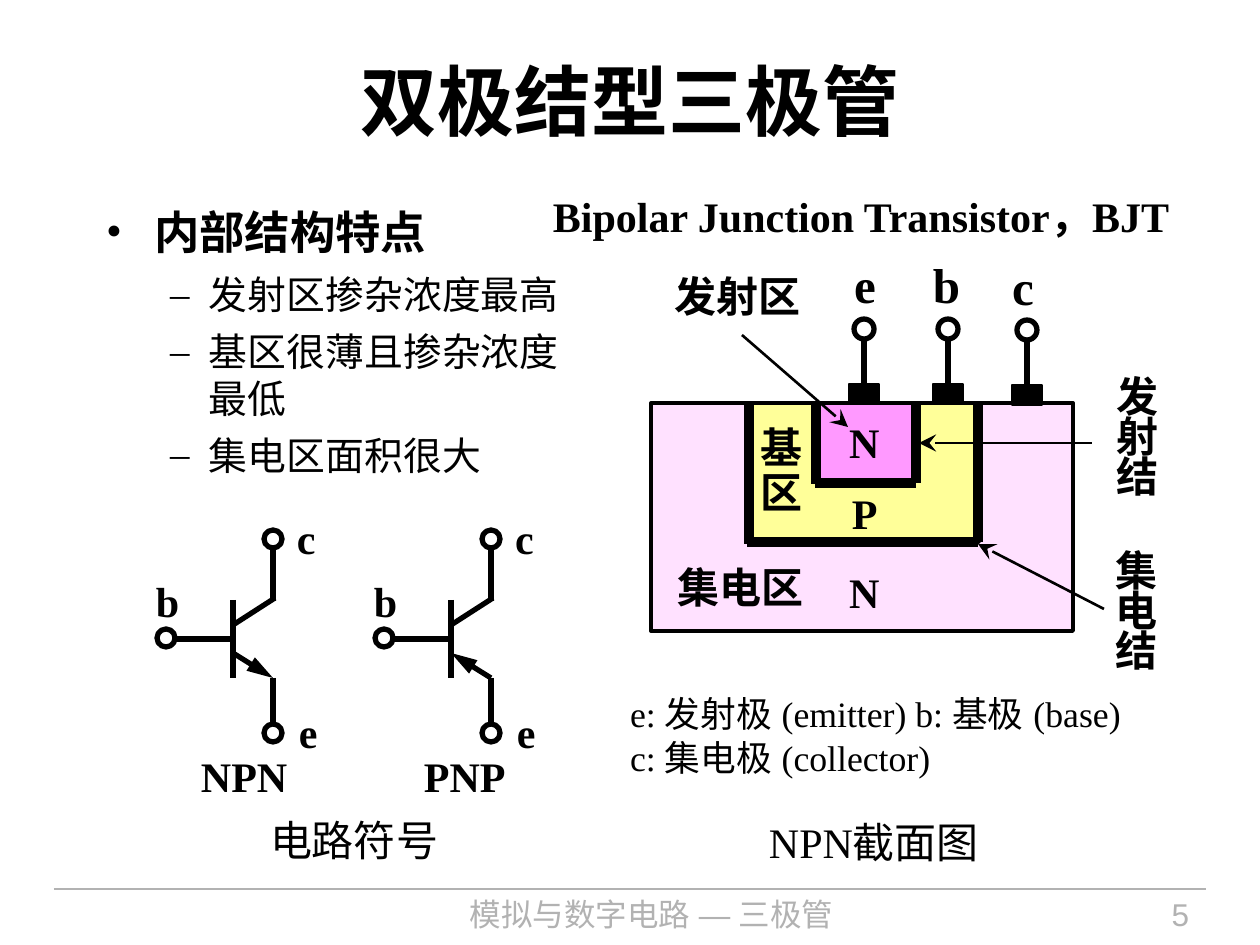
from lxml import etree
from pptx import Presentation
from pptx.dml.color import RGBColor
from pptx.enum.shapes import MSO_CONNECTOR, MSO_SHAPE
from pptx.enum.text import MSO_ANCHOR, MSO_AUTO_SIZE, PP_ALIGN
from pptx.oxml.ns import qn
from pptx.util import Pt

LINE = MSO_CONNECTOR.STRAIGHT
RECT, OVAL = MSO_SHAPE.RECTANGLE, MSO_SHAPE.OVAL
LEFT, MID, RIGHT = PP_ALIGN.LEFT, PP_ALIGN.CENTER, PP_ALIGN.RIGHT
GROW, FIXED = MSO_AUTO_SIZE.SHAPE_TO_FIT_TEXT, MSO_AUTO_SIZE.NONE
SANS, SERIF, HAN = "Arial", "Times New Roman", "Noto Sans CJK SC"
BLACK, GRAY = "000000", "B2B2B2"
SCALE = 914400 / 126

TITLE = "双极结型三极管"
POINTS = [
    (0, "内部结构特点"),
    (1, "发射区掺杂浓度最高"),
    (1, "基区很薄且掺杂浓度最低"),
    (1, "集电区面积很大"),
]
LEVELS = [
    {"mark": "•", "left": 48, "hang": 48, "after": 7, "size": 25.9, "bold": True},
    {"mark": "–", "left": 103, "hang": 39, "after": 6, "size": 22.2, "bold": False},
]
FOOT = [("模拟与数字电路 ", SANS), ("— ", SERIF), ("三极管", SANS)]

REGIONS = [
    ((651, 403, 422, 228), "FFCCFF", 58),
    ((750, 403, 229, 139), "FFFF99", 100),
    ((815, 403, 100, 79), "FF99FF", 100),
]
WALLS = [
    (749, 405, 749, 544), (978, 403, 978, 542), (747, 542, 978, 542),
    (816, 405, 816, 484), (916, 405, 916, 483), (815, 483, 916, 483),
]
ARROWS = [(742, 335, 848, 427), (1092, 443, 919, 443), (1104, 609, 978, 544)]
PINS = [("e", 864, 0, 854, 21), ("b", 948, 0, 933, 28), ("c", 1027, 1, 1012, 21)]

BARE = {"pad": False, "wrap": False}
LABELS = [
    ("集电区", (678, 562, 126, 50), {**BARE, "font": SANS, "align": MID}),
    ("基\n区", (760, 427, 42, 91), {**BARE, "font": SANS, "lead": 0.9}),
    ("N", (849, 567, 30, 50), BARE),
    ("N", (849, 417, 30, 50), BARE),
    ("P", (852, 488, 25, 50), BARE),
    ("发射区", (670, 271, 136, 50), {"font": SANS, "align": MID, "pad": False}),
    ("发\n射\n结", (1105, 374, 67, 134), {"font": SANS, "lead": 0.8, "wrap": False}),
    ("集\n电\n结", (1103, 548, 67, 134), {"font": SANS, "lead": 0.8, "wrap": False}),
    ("Bipolar Junction Transistor，BJT", (541, 185, 665, 63), {"wrap": False}),
    ("NPN截面图", (734, 811, 280, 63), {"bold": False, "align": MID, "fit": FIXED}),
    ("电路符号", (218, 809, 272, 63), {"font": HAN, "bold": False, "align": MID}),
    ("e: 发射极 (emitter) b: 基极 (base)\nc: 集电极 (collector)", (630, 697, 547, 122),
     {"size": 20.4, "bold": False, "lead": 0.9, "after": 2.8, "pad": False, "fit": FIXED}),
    ("5", (1033, 889, 168, 55),
     {"font": SANS, "size": 18, "bold": False, "color": GRAY, "align": RIGHT, "fit": FIXED}),
]

SYMBOLS = [("NPN", 0, "tailEnd", (189, 745, 111, 63)), ("PNP", 218, "headEnd", (412, 745, 107, 63))]
WIRES = [
    (233, 600, 233, 678), (233, 639, 173, 639), (233, 625, 275, 598),
    (273, 601, 273, 549), (273, 678, 273, 726),
]
EMITTER = (233, 653, 273, 678)
RINGS = [(157, 629), (264, 530), (264, 724)]
LEGS = [("c", 297, 513, 19), ("b", 156, 576, 24), ("e", 299, 707, 19)]


def px(*vals):
    return [round(v * SCALE) for v in vals]


def rgb(code):
    return RGBColor.from_string(code)


def style(run, font, size, bold=False, color=BLACK):
    for key, val in {"name": font, "size": Pt(size), "bold": bold}.items():
        setattr(run.font, key, val)
    run.font.color.rgb = rgb(color)
    east = SANS if font == SERIF else font
    etree.SubElement(run._r.get_or_add_rPr(), qn("a:ea"), typeface=east)


def frame(shapes, box, pad=True, wrap=True, fit=GROW):
    body = shapes.add_textbox(*px(*box)).text_frame
    side, edge = px(12, 6) if pad else (0, 0)
    form = {"margin_left": side, "margin_right": side, "margin_top": edge,
            "margin_bottom": edge, "word_wrap": wrap, "auto_size": fit}
    for key, val in form.items():
        setattr(body, key, val)
    return body


def label(shapes, text, box, font=SERIF, size=24, bold=True, color=BLACK,
          align=LEFT, lead=None, after=0, **form):
    body = frame(shapes, box, **form)
    for i, line in enumerate(text.split("\n")):
        para = body.add_paragraph() if i else body.paragraphs[0]
        para.alignment = align
        para.space_after = Pt(after)
        if lead:
            para.line_spacing = lead
        run = para.add_run()
        run.text = line
        style(run, font, size, bold, color)


def wire(shapes, ends, width=3, color=BLACK, tip=None, kind="triangle", broad="med"):
    link = shapes.add_connector(LINE, *px(*ends))
    link.line.width = Pt(width)
    link.line.color.rgb = rgb(color)
    if tip:
        etree.SubElement(link.line._get_or_add_ln(), qn("a:" + tip), type=kind, w=broad, len="lg")
    etree.SubElement(link._element.spPr, qn("a:effectLst"))
    return link


def solid(shapes, kind, box, fill=None, width=3.0, alpha=100):
    item = shapes.add_shape(kind, *px(*box))
    item.shadow.inherit = False
    item.line.width = Pt(width)
    item.line.color.rgb = rgb(BLACK)
    if fill:
        item.fill.solid()
        item.fill.fore_color.rgb = rgb(fill)
        if alpha < 100:
            tint = item._element.spPr.find(qn("a:solidFill"))[0]
            etree.SubElement(tint, qn("a:alpha"), val=str(alpha * 1000))
    else:
        item.fill.background()
    return item


def points(shapes):
    body = frame(shapes, (94, 198, 512, 302), fit=FIXED)
    for i, (level, text) in enumerate(POINTS):
        look = LEVELS[level]
        para = body.add_paragraph() if i else body.paragraphs[0]
        para.level = level
        para.space_after = Pt(look["after"])
        props = para._p.get_or_add_pPr()
        left, hang = px(look["left"], look["hang"])
        props.set("marL", str(left))
        props.set("indent", str(-hang))
        etree.SubElement(props, qn("a:buFont"), typeface=SERIF)
        etree.SubElement(props, qn("a:buChar"), char=look["mark"])
        run = para.add_run()
        run.text = text
        style(run, SANS, look["size"], look["bold"])


def symbol(shapes, name, dx, tip, box):
    group = shapes.add_group_shape().shapes
    for x1, y1, x2, y2 in WIRES:
        wire(group, (x1 + dx, y1, x2 + dx, y2))
    x1, y1, x2, y2 = EMITTER
    wire(group, (x1 + dx, y1, x2 + dx, y2), tip=tip)
    for x, y in RINGS:
        solid(group, OVAL, (x + dx, y, 18, 18))
    for text, x, y, w in LEGS:
        label(group, text, (x + dx, y, w, 50), **BARE)
    label(group, name, box, wrap=False)


def pin(shapes, name, x, dy, left, wide):
    group = shapes.add_group_shape().shapes
    label(group, name, (left, 255 + dy, wide, 59), size=28, **BARE)
    pad = solid(group, RECT, (x - 15, 384 + dy, 30, 20), BLACK, 0.75)
    lead = wire(group, (x, 404 + dy, x, 339 + dy))
    lead.begin_connect(pad, 2)
    solid(group, OVAL, (x - 10, 319 + dy, 20, 20))


def main():
    deck = Presentation()
    deck.slide_width, deck.slide_height = px(1260, 945)
    slide = deck.slides.add_slide(deck.slide_layouts[5])
    shapes = slide.shapes

    title = shapes.title
    title.left, title.top, title.width, title.height = px(63, 21, 1134, 158)
    title.text_frame.vertical_anchor = MSO_ANCHOR.MIDDLE
    para = title.text_frame.paragraphs[0]
    para.alignment = MID
    run = para.add_run()
    run.text = TITLE
    style(run, SANS, 44, True)

    wire(shapes, (54, 889, 1206, 889), 0.75, GRAY)
    foot = frame(shapes, (314, 889, 675, 55), fit=FIXED).paragraphs[0]
    foot.alignment = MID
    for text, font in FOOT:
        run = foot.add_run()
        run.text = text
        style(run, font, 18, color=GRAY)

    points(shapes)
    for box, fill, alpha in REGIONS:
        solid(shapes, RECT, box, fill, 2.25, alpha)
    for ends in WALLS:
        wire(shapes, ends, 6)
    for ends in ARROWS:
        wire(shapes, ends, 1.5, tip="tailEnd", kind="stealth", broad="lg")
    for text, box, form in LABELS:
        label(shapes, text, box, **form)
    for item in SYMBOLS:
        symbol(shapes, *item)
    for item in PINS:
        pin(shapes, *item)
    deck.save("out.pptx")


if __name__ == "__main__":
    main()
